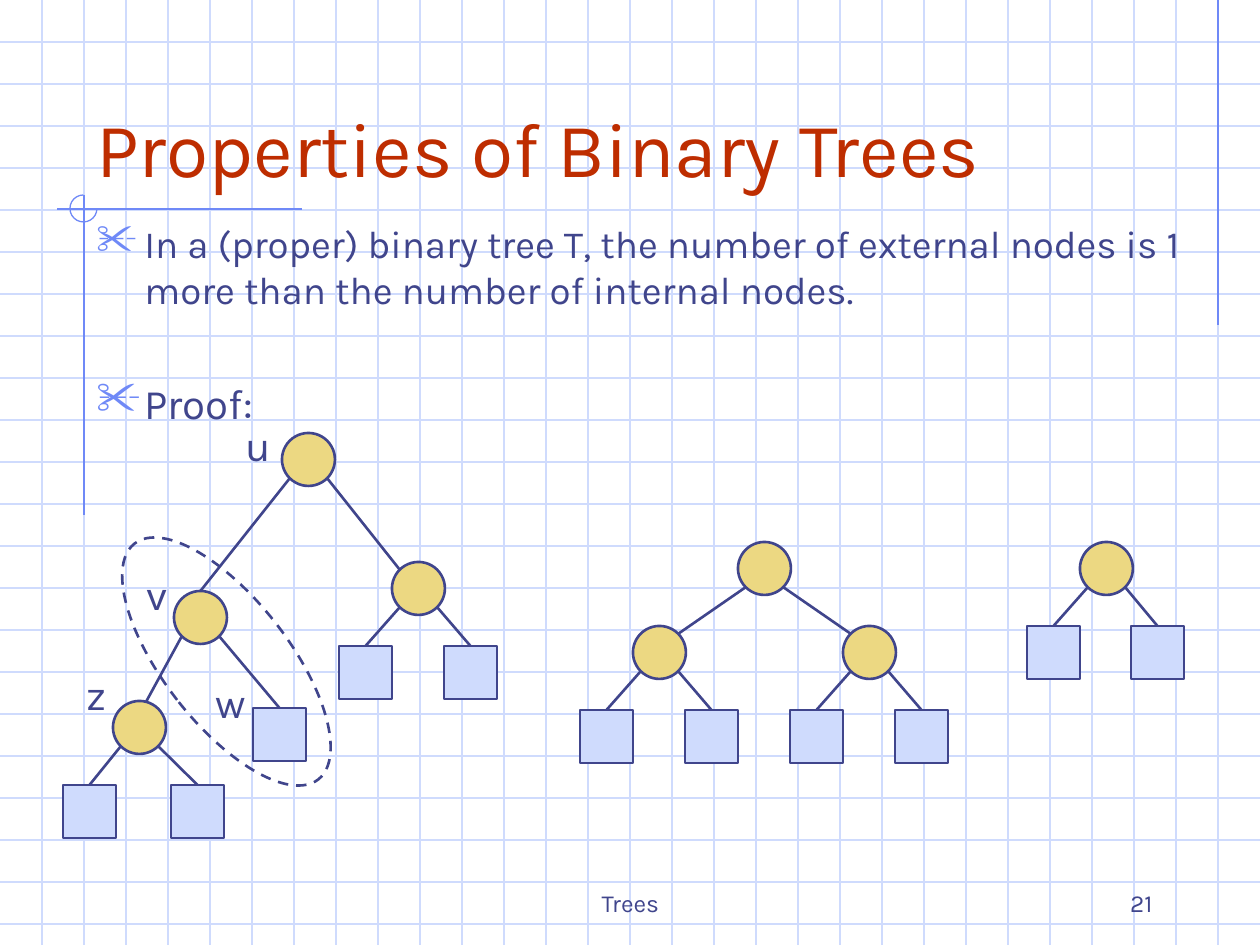
from dataclasses import dataclass

from lxml import etree
from pptx import Presentation
from pptx import util as u
from pptx.dml.color import RGBColor
from pptx.enum import dml, shapes, text
from pptx.oxml.ns import qn

EMU_PER_PX = 914400 / 126
WIDTH, HEIGHT = 1260, 945
GRID = 42
NODE = 53
CORNER = 8
INDENT = 48


@dataclass(frozen=True)
class Theme:
    font: str = "Karla"
    ink: str = "40458C"
    title: str = "BE2D00"
    accent: str = "6F89F7"
    pale: str = "CFDBFD"
    gold: str = "ECD882"
    title_size: int = 44
    statement_size: int = 22
    label_size: int = 24
    footer_size: int = 14
    thin: float = 0.75
    thick: float = 1.5


@dataclass(frozen=True)
class Node:
    name: str
    x: int
    y: int
    leaf: bool = False


@dataclass(frozen=True)
class Edge:
    parent: str
    child: str
    to_corner: bool = False


@dataclass(frozen=True)
class Label:
    words: str
    x: int
    y: int
    width: int
    height: int
    size: int
    color: str
    align: text.PP_ALIGN
    anchor: text.MSO_ANCHOR = text.MSO_ANCHOR.TOP


THEME = Theme()

NODES = [
    Node("u", 282, 433), Node("v", 174, 591), Node("z", 113, 701),
    Node("x", 392, 562), Node("w", 253, 708, True),
    Node("z1", 63, 785, True), Node("z2", 171, 785, True),
    Node("x1", 339, 646, True), Node("x2", 444, 646, True),
    Node("m", 738, 542), Node("ml", 633, 626), Node("mr", 843, 626),
    *(Node(f"m{i}", 580 + 105 * i, 710, True) for i in range(4)),
    Node("s", 1080, 542), Node("s1", 1027, 626, True), Node("s2", 1131, 626, True),
]

EDGES = [
    Edge("u", "v"), Edge("u", "x", True), Edge("v", "w"),
    Edge("z", "z1"), Edge("z", "z2"), Edge("x", "x1"), Edge("x", "x2"),
    Edge("m", "ml", True), Edge("m", "mr", True),
    Edge("ml", "m0"), Edge("ml", "m1"), Edge("mr", "m2"), Edge("mr", "m3"),
    Edge("s", "s1"), Edge("s", "s2"),
]

LETTERS = [("z", 74, 662), ("v", 134, 562), ("w", 203, 670), ("u", 233, 413)]

LABELS = [
    Label("Properties of Binary Trees", 84, 42, 1071, 157, THEME.title_size,
          THEME.title, text.PP_ALIGN.LEFT, text.MSO_ANCHOR.BOTTOM),
    Label("Trees", 431, 861, 399, 63, THEME.footer_size,
          THEME.ink, text.PP_ALIGN.CENTER, text.MSO_ANCHOR.BOTTOM),
    Label("21", 903, 861, 262, 63, THEME.footer_size,
          THEME.ink, text.PP_ALIGN.RIGHT, text.MSO_ANCHOR.BOTTOM),
    *(Label(letter, x, y, 30, 63, THEME.label_size, THEME.ink, text.PP_ALIGN.CENTER)
      for letter, x, y in LETTERS),
]


def px(value: float) -> u.Emu:
    return u.Emu(round(value * EMU_PER_PX))


def rgb(color: str) -> RGBColor:
    return RGBColor.from_string(color)


def add_line(slide, x1: int, y1: int, x2: int, y2: int, color: str, width: float):
    line = slide.shapes.add_connector(
        shapes.MSO_CONNECTOR.STRAIGHT, px(x1), px(y1), px(x2), px(y2))
    line.line.color.rgb = rgb(color)
    line.line.width = u.Pt(width)
    etree.SubElement(line._element.spPr, qn("a:effectLst"))
    return line


def add_outline(slide, kind, x: int, y: int, width: int, height: int,
                color: str, weight: float, fill: str = ""):
    shape = slide.shapes.add_shape(kind, px(x), px(y), px(width), px(height))
    shape.shadow.inherit = False
    if fill:
        shape.fill.solid()
        shape.fill.fore_color.rgb = rgb(fill)
    else:
        shape.fill.background()
    shape.line.color.rgb = rgb(color)
    shape.line.width = u.Pt(weight)
    return shape


def add_node(slide, node: Node):
    kind = shapes.MSO_SHAPE.RECTANGLE if node.leaf else shapes.MSO_SHAPE.OVAL
    fill = THEME.pale if node.leaf else THEME.gold
    return add_outline(slide, kind, node.x, node.y, NODE, NODE,
                       THEME.ink, THEME.thick, fill)


def corner(node: Node, right: bool, bottom: bool) -> tuple[int, int]:
    far = NODE - CORNER
    return (node.x + (far if right else CORNER),
            node.y + (far if bottom else CORNER))


def add_edge(slide, edge: Edge, nodes: dict[str, Node], drawn: dict) -> None:
    parent, child = nodes[edge.parent], nodes[edge.child]
    right = child.x > parent.x
    start = corner(parent, right, True)
    end = corner(child, not right, False)
    line = add_line(slide, *start, *end, THEME.ink, THEME.thick)
    if not edge.to_corner:
        line.end_connect(drawn[edge.child], 0)


def style(paragraph, size: int, color: str) -> None:
    paragraph.font.name = THEME.font
    paragraph.font.size = u.Pt(size)
    paragraph.font.color.rgb = rgb(color)


def add_frame(slide, x: int, y: int, width: int, height: int):
    frame = slide.shapes.add_textbox(px(x), px(y), px(width), px(height)).text_frame
    frame.word_wrap = True
    return frame


def add_label(slide, label: Label) -> None:
    frame = add_frame(slide, label.x, label.y, label.width, label.height)
    frame.vertical_anchor = label.anchor
    paragraph = frame.paragraphs[0]
    paragraph.text = label.words
    paragraph.alignment = label.align
    style(paragraph, label.size, label.color)


def add_bullet(paragraph, words: str, size: int) -> None:
    paragraph.text = words
    properties = paragraph._p.get_or_add_pPr()
    properties.set("marL", str(px(INDENT)))
    properties.set("indent", str(-px(INDENT)))
    color = etree.SubElement(properties, qn("a:buClr"))
    etree.SubElement(color, qn("a:srgbClr"), val=THEME.accent)
    etree.SubElement(properties, qn("a:buSzPct"), val="110000")
    etree.SubElement(properties, qn("a:buChar"), char="✂")
    style(paragraph, size, THEME.ink)


def add_backdrop(slide) -> None:
    for y in range(GRID, HEIGHT, GRID):
        add_line(slide, 0, y, WIDTH, y, THEME.pale, THEME.thin)
    for x in range(GRID, WIDTH, GRID):
        add_line(slide, x, 0, x, HEIGHT, THEME.pale, THEME.thin)
    for ends in [(1218, 0, 1218, 325), (302, 209, 57, 209), (84, 195, 84, 515)]:
        add_line(slide, *ends, THEME.accent, THEME.thin)
    arc = add_outline(slide, shapes.MSO_SHAPE.ARC, 70, 195, 27, 27,
                      THEME.accent, THEME.thin)
    arc.adjustments[0] = 0
    arc.adjustments[1] = 162


def add_body(slide) -> None:
    frame = add_frame(slide, 84, 214, 1131, 228)
    add_bullet(frame.paragraphs[0],
               "In a (proper) binary tree T, the number of external nodes is 1 "
               "more than the number of internal nodes.", THEME.statement_size)
    proof = frame.add_paragraph()
    add_bullet(proof, "Proof:", THEME.label_size)
    proof.space_before = u.Pt(37)


def add_trees(slide) -> None:
    nodes = {node.name: node for node in NODES}
    add_line(slide, *corner(nodes["v"], False, True), 134, 724, THEME.ink, THEME.thick)
    drawn = {node.name: add_node(slide, node) for node in NODES}
    for edge in EDGES:
        add_edge(slide, edge, nodes, drawn)
    removed_pair = add_outline(slide, shapes.MSO_SHAPE.OVAL, 164, 512, 125, 299,
                               THEME.ink, THEME.thick)
    removed_pair.rotation = 322.1
    removed_pair.line.dash_style = dml.MSO_LINE.DASH


def main() -> None:
    presentation = Presentation()
    presentation.slide_width, presentation.slide_height = px(WIDTH), px(HEIGHT)
    slide = presentation.slides.add_slide(presentation.slide_layouts[6])
    add_backdrop(slide)
    add_body(slide)
    add_trees(slide)
    for label in LABELS:
        add_label(slide, label)
    presentation.save("out.pptx")


if __name__ == "__main__":
    main()
